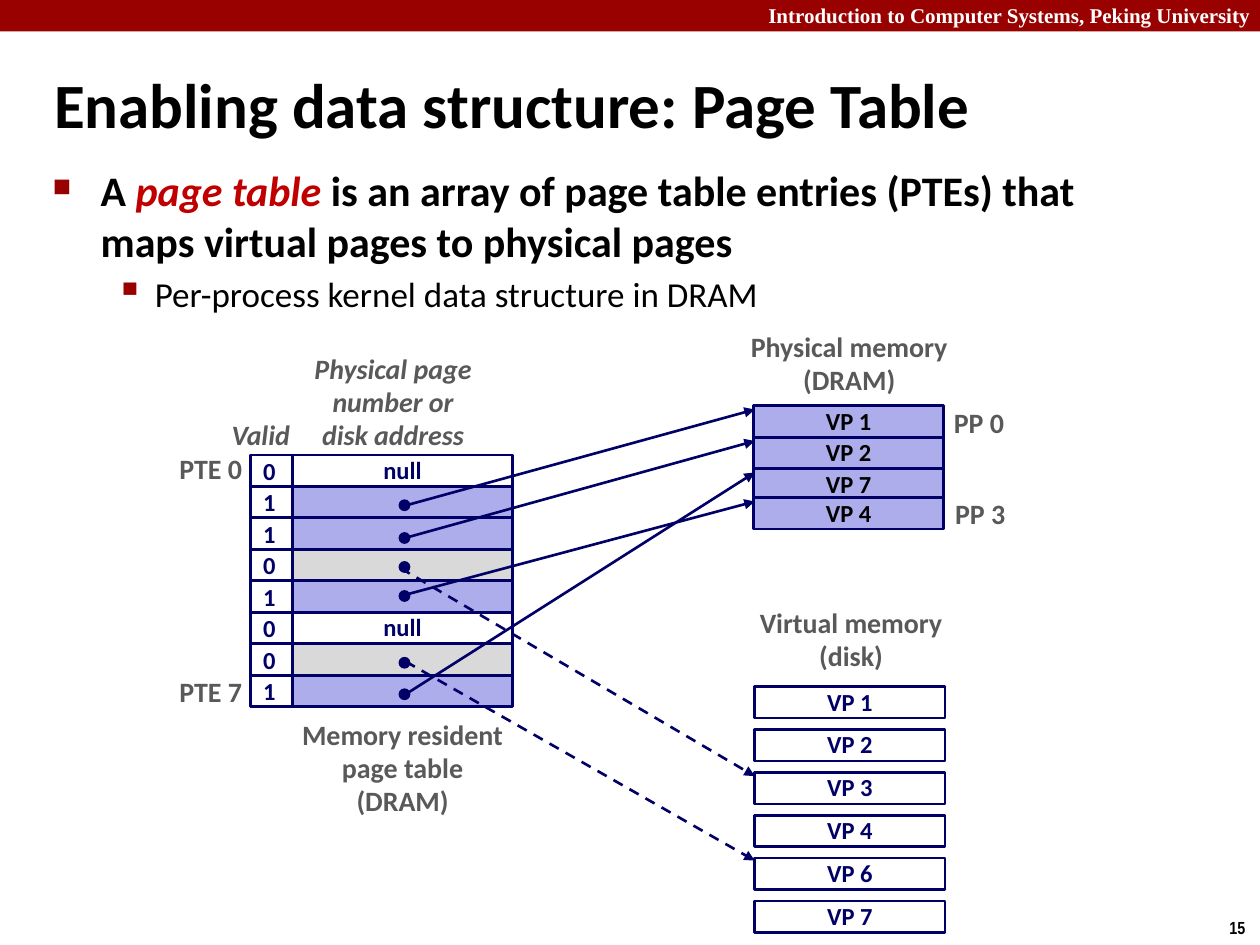
from lxml import etree
from pptx import Presentation
from pptx.dml.color import RGBColor
from pptx.enum.dml import MSO_LINE
from pptx.enum.shapes import MSO_CONNECTOR, MSO_SHAPE
from pptx.enum.text import MSO_ANCHOR, MSO_AUTO_SIZE, PP_ALIGN
from pptx.oxml.ns import qn
from pptx.util import Pt

PX = 9144
RECT, OVAL = MSO_SHAPE.RECTANGLE, MSO_SHAPE.OVAL
STRAIGHT = MSO_CONNECTOR.STRAIGHT
DASH = MSO_LINE.DASH
TOP, MIDDLE = MSO_ANCHOR.TOP, MSO_ANCHOR.MIDDLE
LEFT, CENTER, RIGHT = PP_ALIGN.LEFT, PP_ALIGN.CENTER, PP_ALIGN.RIGHT
FIT, NO_FIT = MSO_AUTO_SIZE.SHAPE_TO_FIT_TEXT, MSO_AUTO_SIZE.NONE

COLORS = {
    "banner": "990000", "accent": "C00000", "navy": "000066",
    "cached": "ADADEB", "on_disk": "D9D9D9", "label": "595959",
    "white": "FFFFFF", "black": "000000",
}

ROW_H = 25
TABLE_TOP = 361
PTES = [("0", "null"), ("1", "cached"), ("1", "cached"), ("0", "on_disk"),
        ("1", "cached"), ("0", "null"), ("0", "on_disk"), ("1", "cached")]
PHYSICAL = [("VP 1", 322), ("VP 2", 347), ("VP 7", 372), ("VP 4", 395)]
VIRTUAL = ["VP 1", "VP 2", "VP 3", "VP 4", "VP 6", "VP 7"]
DOT_TOPS = [397, 423, 446, 469, 522, 547]
LINKS = [
    (319, 402, 325, False), (325, 426, 350, False), (318, 451, 616, True),
    (322, 472, 398, False), (322, 525, 683, True), (322, 551, 375, False),
]
LABELS = [
    (["Memory resident", "page table", "(DRAM)"], (227, 566, 185, 89), CENTER, TOP, False),
    (["Physical memory", "(DRAM)"], (585, 258, 178, 63), CENTER, TOP, False),
    (["Virtual memory", "(disk)"], (591, 477, 169, 63), CENTER, TOP, False),
    (["Valid"], (174, 328, 75, 37), LEFT, TOP, True),
    (["Physical page", "number or", "disk address"], (239, 275, 146, 89), CENTER, MIDDLE, True),
    (["PTE 0"], (132, 354, 70, 37), RIGHT, MIDDLE, False),
    (["PTE 7"], (132, 531, 70, 37), RIGHT, MIDDLE, False),
    (["PP 0"], (747, 318, 60, 37), CENTER, MIDDLE, False),
    (["PP 3"], (748, 390, 60, 37), CENTER, MIDDLE, False),
]


def rgb(name):
    return RGBColor.from_string(COLORS[name])


def emu(box):
    return [v * PX for v in box]


def add_run(p, text, size, color, font="Calibri", bold=True, italic=False):
    r = p.add_run()
    r.text = text
    r.font.name = font
    r.font.size = Pt(size)
    r.font.bold = bold
    r.font.italic = italic
    r.font.color.rgb = rgb(color)


def add_label(slide, lines, box, size=16, color="label", align=CENTER,
              anchor=TOP, italic=False, font="Calibri", spacing=0.98):
    tf = slide.shapes.add_textbox(*emu(box)).text_frame
    tf.word_wrap = False
    tf.auto_size = FIT
    tf.vertical_anchor = anchor
    for i, line in enumerate(lines):
        p = tf.add_paragraph() if i else tf.paragraphs[0]
        p.alignment = align
        p.line_spacing = spacing
        add_run(p, line, size, color, font, italic=italic)


def add_box(slide, box, fill=None, line="navy", text="", color="navy",
            shape=RECT, width=1.5):
    sp = slide.shapes.add_shape(shape, *emu(box))
    sp.shadow.inherit = False
    if fill:
        sp.fill.solid()
        sp.fill.fore_color.rgb = rgb(fill)
    else:
        sp.fill.background()
    if line:
        sp.line.color.rgb = rgb(line)
        sp.line.width = Pt(width)
    else:
        sp.line.fill.background()
    if text:
        tf = sp.text_frame
        tf.word_wrap = False
        tf.vertical_anchor = MIDDLE
        p = tf.paragraphs[0]
        p.alignment = CENTER
        p.line_spacing = 0.98
        add_run(p, text, 14, color)


def add_arrow(slide, start, end, dashed):
    c = slide.shapes.add_connector(STRAIGHT, *emu(start + end))
    c.line.color.rgb = rgb("navy")
    c.line.width = Pt(1.5)
    if dashed:
        c.line.dash_style = DASH
    etree.SubElement(c.line._get_or_add_ln(), qn("a:tailEnd"), type="triangle")
    etree.SubElement(c._element.spPr, qn("a:effectLst"))


def add_bullet(p, char, percent, margin, hang):
    pPr = p._p.get_or_add_pPr()
    pPr.set("marL", str(margin * PX))
    pPr.set("indent", str(-hang * PX))
    clr = etree.SubElement(pPr, qn("a:buClr"))
    etree.SubElement(clr, qn("a:srgbClr"), val=COLORS["banner"])
    etree.SubElement(pPr, qn("a:buSzPct"), val=str(percent * 1000))
    etree.SubElement(pPr, qn("a:buChar"), char=char)


def add_title(slide, text):
    sp = slide.shapes.title
    sp.left, sp.top, sp.width, sp.height = emu((33, 39, 906, 86))
    tf = sp.text_frame
    tf.word_wrap = True
    tf.auto_size = NO_FIT
    tf.vertical_anchor = MIDDLE
    p = tf.paragraphs[0]
    p.alignment = LEFT
    add_run(p, text, 36, "black")


def add_body(slide):
    tf = slide.shapes.add_textbox(*emu((32, 126, 909, 141))).text_frame
    tf.word_wrap = True
    p = tf.paragraphs[0]
    add_bullet(p, "■", 60, 38, 38)
    add_run(p, "A ", 24, "black")
    add_run(p, "page table ", 24, "accent", italic=True)
    add_run(p, "is an array of page table entries (PTEs) that maps virtual "
               "pages to physical pages", 24, "black")
    p = tf.add_paragraph()
    p.level = 1
    p.space_before = Pt(4)
    add_bullet(p, "▪", 110, 81, 31)
    add_run(p, "Per-process kernel data structure in DRAM", 20, "black", bold=False)


def add_page_table(slide):
    for i, (valid, kind) in enumerate(PTES):
        top = TABLE_TOP + i * ROW_H
        is_null = kind == "null"
        add_box(slide, (232, top, 175, ROW_H), "white" if is_null else kind,
                text="null" if is_null else "")
        add_box(slide, (199, top, 33, ROW_H))
        add_label(slide, [valid], (199, top - 3, 31, 33), 14, "navy", LEFT)


def add_memories(slide):
    for name, top in PHYSICAL:
        add_box(slide, (598, top, 151, ROW_H), "cached", text=name, color="black")
    for i, name in enumerate(VIRTUAL):
        add_box(slide, (599, 545 + i * 34, 151, ROW_H), "white", text=name)


def add_links(slide):
    for x, y, target, dashed in LINKS:
        add_arrow(slide, (x, y), (599, target), dashed)
    for top in DOT_TOPS:
        add_box(slide, (317, top, 8, 8), "navy", shape=OVAL, width=1)


def main():
    prs = Presentation()
    prs.slide_width, prs.slide_height = emu((1000, 750))
    slide = prs.slides.add_slide(prs.slide_layouts[5])
    add_box(slide, (0, 0, 1000, 25), "banner", line=None)
    add_label(slide, ["Introduction to Computer Systems, Peking University"],
              (600, -3, 407, 30), 12, "white", LEFT,
              font="Times New Roman", spacing=1.0)
    add_label(slide, ["15"], (966, 723, 34, 27), 10, "black", LEFT,
              font="Arial Narrow", spacing=1.0)
    add_title(slide, "Enabling data structure: Page Table")
    add_body(slide)
    add_page_table(slide)
    add_memories(slide)
    add_links(slide)
    for lines, box, align, anchor, italic in LABELS:
        add_label(slide, lines, box, align=align, anchor=anchor, italic=italic)
    prs.save("out.pptx")


if __name__ == "__main__":
    main()
